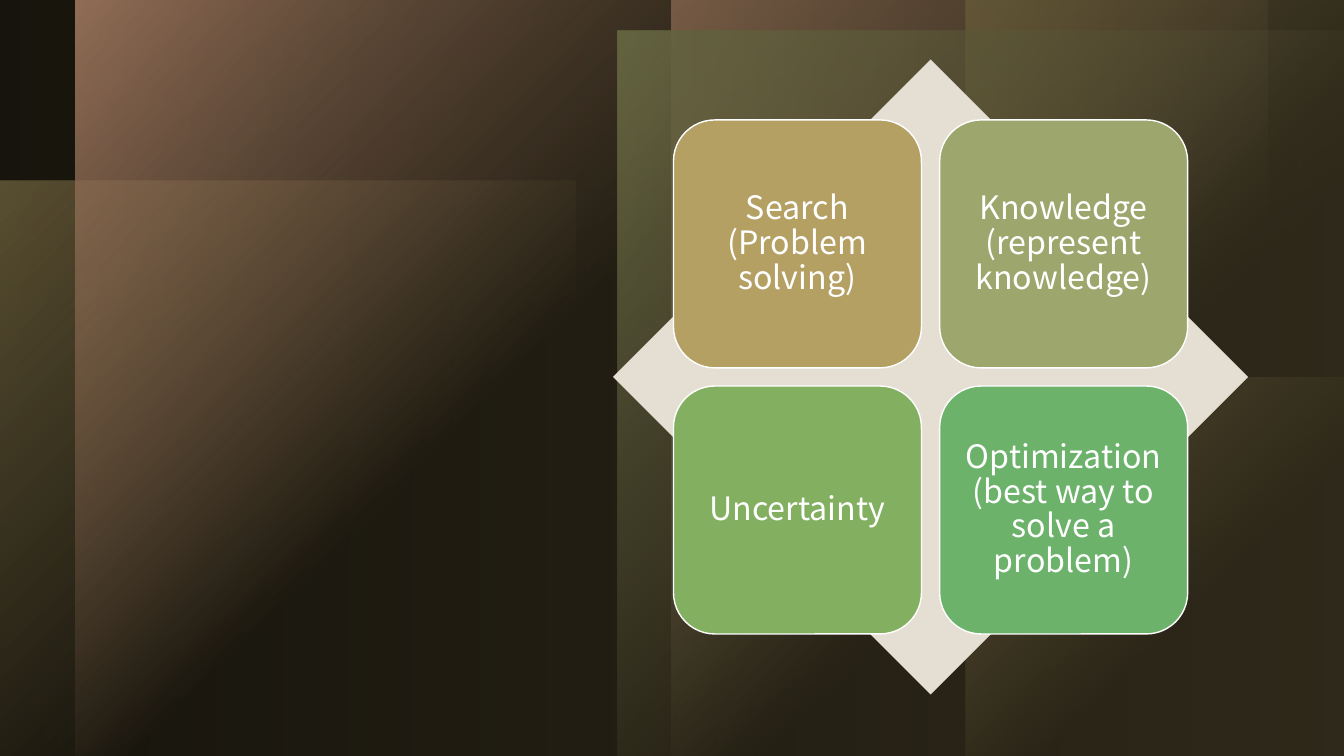
"""Build a slide with four AI topics in a diamond matrix."""
import pptx
import pptx.util
import pptx.oxml
import pptx.oxml.ns
import pptx.dml.color
import pptx.enum.shapes
import pptx.enum.text

Inches = pptx.util.Inches
KIND = pptx.enum.shapes.MSO_SHAPE
COLORS = {
    "black": "000000", "white": "FFFFFF", "veil": "3C3522", "sand": "E5DFD3",
    "gold": "B5A064", "clay": "CE967C", "olive": "9DA66C",
    "leaf": "83AF61", "mint": "6CB26B",
}
FONT = {"name": "Noto Sans CJK JP", "size": pptx.util.Pt(23)}
FRAME = {
    "word_wrap": True, "vertical_anchor": pptx.enum.text.MSO_ANCHOR.MIDDLE,
    "margin_left": Inches(0.1), "margin_right": Inches(0.1),
    "margin_top": Inches(0.1), "margin_bottom": Inches(0.1),
}
PARA = {"alignment": pptx.enum.text.PP_ALIGN.CENTER, "line_spacing": 0.9}
GLOW = '<a:path path="circle"><a:fillToRect r="100000" b="100000"/></a:path>'
ACROSS = '<a:lin ang="0" scaled="0"/>'
PANELS = [
    (0, 1.79, 5.71, 5.71, "gold", 60),
    (6.66, 0, 5.91, 7.5, "clay", 100),
    (0.75, 0, 5.91, 7.5, "clay", 100),
    (9.58, 3.75, 3.75, 3.75, "gold", 100),
    (9.58, 0, 3.75, 3.75, "gold", 100),
    (6.13, 0.3, 7.2, 7.2, "olive", 100),
]
TOPICS = [
    ("Search (Problem solving)", "gold"),
    ("Knowledge (represent knowledge)", "olive"),
    ("Uncertainty", "leaf"),
    ("Optimization (best way to solve a problem)", "mint"),
]


def rgb(name):
    """Return the named colour."""
    return pptx.dml.color.RGBColor.from_string(COLORS[name])


def apply(item, values):
    """Set each format value on an item."""
    for key, value in values.items():
        setattr(item, key, value)


def add_block(slide, kind, box, color):
    """Add a flat shape without line or shadow."""
    shape = slide.shapes.add_shape(kind, *map(Inches, box))
    shape.shadow.inherit = False
    shape.fill.solid()
    shape.fill.fore_color.rgb = rgb(color)
    shape.line.fill.background()
    return shape


def add_fade(slide, box, color, stops, course):
    """Add a rectangle whose opacity changes over (place, percent) stops."""
    shape = add_block(slide, KIND.RECTANGLE, box, color)
    marks = "".join(
        f'<a:gs pos="{place * 1000}"><a:srgbClr val="{COLORS[color]}">'
        f'<a:alpha val="{alpha * 1000}"/></a:srgbClr></a:gs>'
        for place, alpha in stops)
    fade = pptx.oxml.parse_xml(
        f'<a:gradFill {pptx.oxml.ns.nsdecls("a")} rotWithShape="1">'
        f'<a:gsLst>{marks}</a:gsLst>{course}</a:gradFill>')
    props = shape.element.spPr
    props.replace(props.find(pptx.oxml.ns.qn("a:solidFill")), fade)


def add_card(slide, box, text, color):
    """Add a rounded card with centred text."""
    card = add_block(slide, KIND.ROUNDED_RECTANGLE, box, color)
    card.line.color.rgb = rgb("white")
    card.line.width = pptx.util.Pt(1)
    apply(card.text_frame, FRAME)
    para = card.text_frame.paragraphs[0]
    para.text = text
    apply(para, PARA)
    apply(para.font, FONT)
    para.font.color.rgb = rgb("white")


def main():
    """Build and save the slide."""
    deck = pptx.Presentation()
    deck.slide_width, deck.slide_height = Inches(13.33), Inches(7.5)
    slide = deck.slides.add_slide(deck.slide_layouts[6])
    slide.background.fill.solid()
    slide.background.fill.fore_color.rgb = rgb("black")
    for *box, color, alpha in PANELS:
        add_fade(slide, box, color, [(0, alpha), (60, 0)], GLOW)
    add_fade(slide, (0, 0, 13.33, 7.5), "veil", [(0, 40), (100, 80)], ACROSS)
    add_block(slide, KIND.DIAMOND, (6.08, 0.59, 6.3, 6.3), "sand")
    side, step = 2.46, 2.64
    for index, (text, color) in enumerate(TOPICS):
        row, col = divmod(index, 2)
        box = (6.68 + col * step, 1.19 + row * step, side, side)
        add_card(slide, box, text, color)
    deck.save("out.pptx")


if __name__ == "__main__":
    main()
